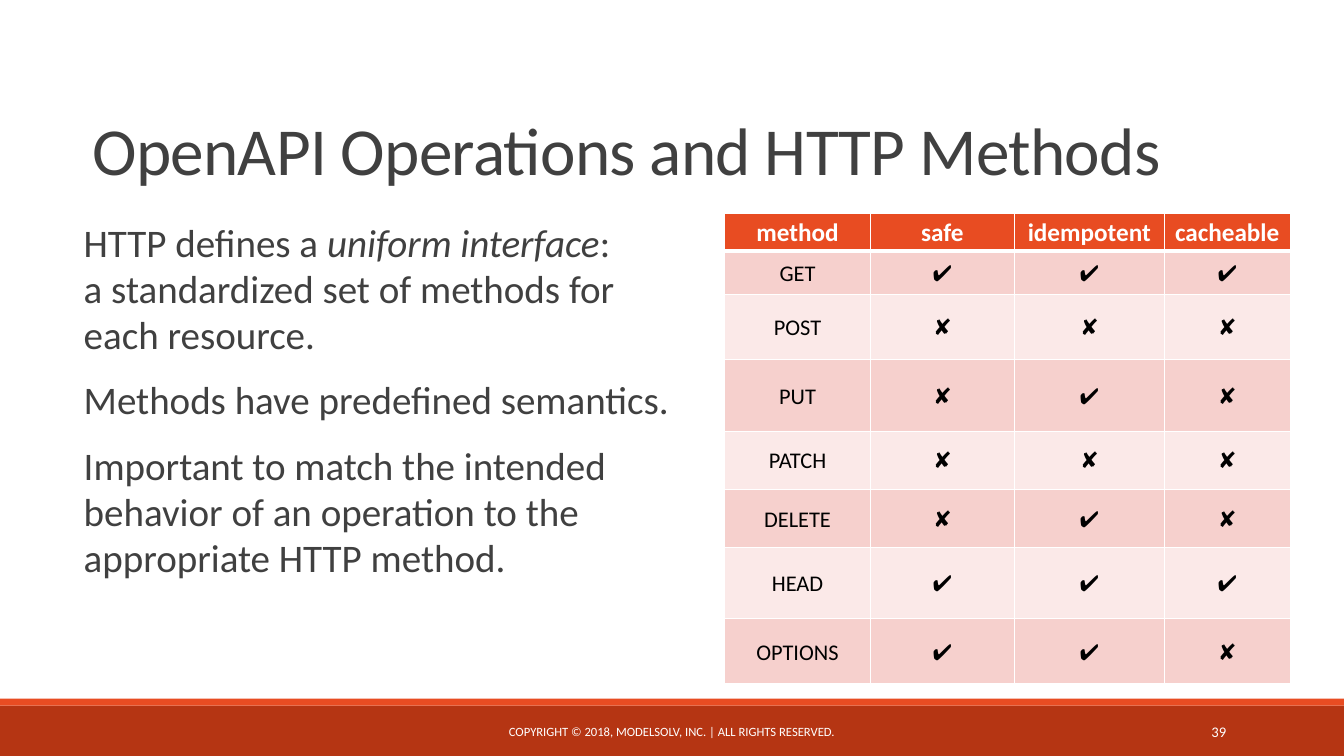
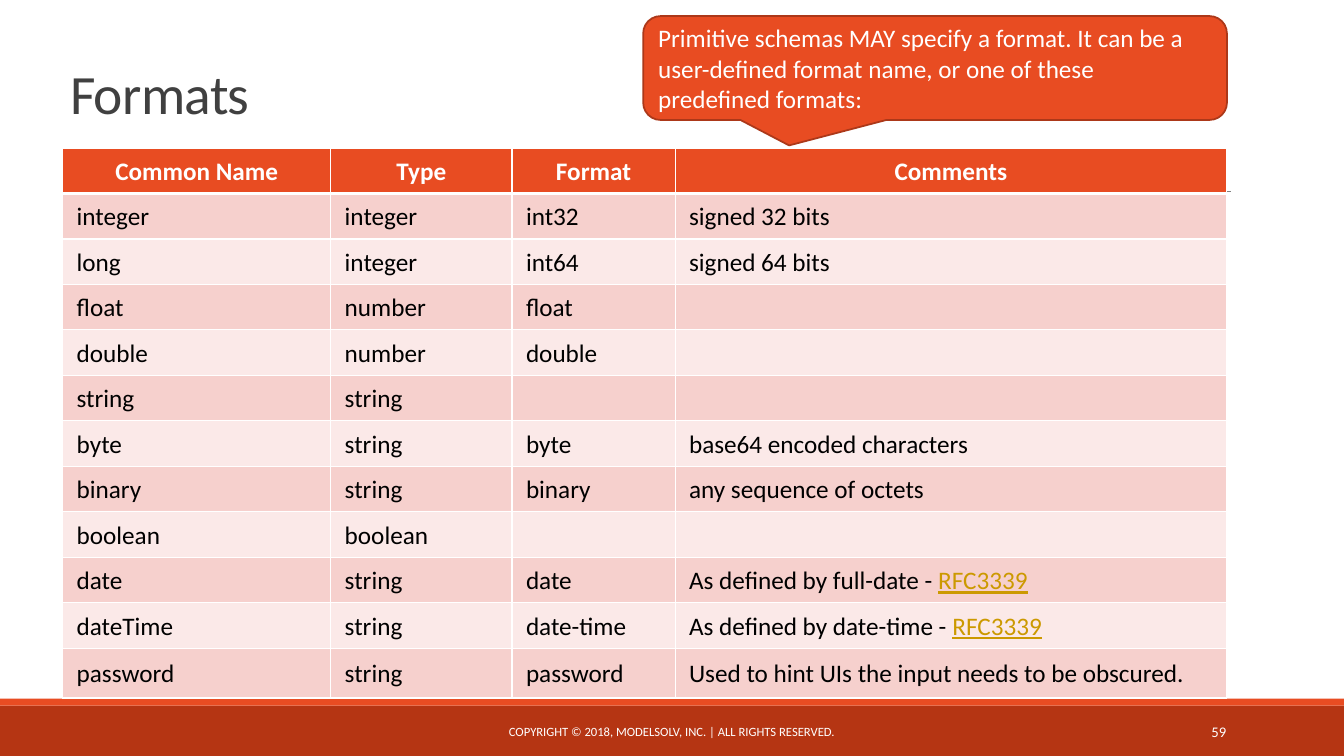
from pptx import Presentation
from pptx.dml.color import RGBColor
from pptx.enum import shapes, text
from pptx.oxml import parse_xml
from pptx.oxml.ns import nsdecls
from pptx.util import Pt

# Shared look
FONT = "Calibri"
WHITE, BLACK, GREY = "FFFFFF", "000000", "404040"
BRICK, FLAME, EDGE, GOLD = "B53513", "E84C22", "AC3819", "CC9900"
BANDS = ("F6D0CD", "FBE9E8")
LEFT, MID, RIGHT = text.PP_ALIGN.LEFT, text.PP_ALIGN.CENTER, text.PP_ALIGN.RIGHT
FOOT = "COPYRIGHT © 2018, MODELSOLV, INC. | ALL RIGHTS RESERVED."

# Content: a paragraph is a string or a list of runs, a run a string or (string, format)
BODY = [
    ["HTTP defines a ", ("uniform interface", {"italic": True}),
     ":\va standardized set of methods for each resource."],
    "Methods have predefined semantics.",
    "Important to match the intended behavior of an operation "
    "to the appropriate HTTP method.",
]
METHODS = [
    ("method", "safe", "idempotent", "cacheable"),
    ("GET", "✔", "✔", "✔"),
    ("POST", "✘", "✘", "✘"),
    ("PUT", "✘", "✔", "✘"),
    ("PATCH", "✘", "✘", "✘"),
    ("DELETE", "✘", "✔", "✘"),
    ("HEAD", "✔", "✔", "✔"),
    ("OPTIONS", "✔", "✔", "✘"),
]
RFC = ("RFC3339", {"color": GOLD, "underline": True})
FORMATS = [
    ("Common Name", "Type", "Format", "Comments"),
    ("integer", "integer", "int32", "signed 32 bits"),
    ("long", "integer", "int64", "signed 64 bits"),
    ("float", "number", "float", ""),
    ("double", "number", "double", ""),
    ("string", "string", "", ""),
    ("byte", "string", "byte", "base64 encoded characters"),
    ("binary", "string", "binary", "any sequence of octets"),
    ("boolean", "boolean", "", ""),
    ("date", "string", "date", ["As defined by full-date - ", RFC]),
    ("dateTime", "string", "date-time", ["As defined by date-time - ", RFC]),
    ("password", "string", "password",
     "Used to hint UIs the input needs to be obscured."),
]
NOTE = ("Primitive schemas MAY specify a format. It can be a user-defined "
        "format name, or one of these predefined formats:")


def rgb(code):
    return RGBColor.from_string(code)


def style(font, size, color, bold=False, italic=False, underline=False):
    font.name, font.size = FONT, Pt(size)
    font.bold, font.italic, font.underline = bold, italic, underline
    font.color.rgb = rgb(color)


def write(frame, paras, size=18, color=BLACK, bold=False, align=LEFT,
          line=1, before=0, after=0, track=0):
    """Fill a text frame with formatted paragraphs."""
    for i, runs in enumerate(paras):
        para = frame.add_paragraph() if i else frame.paragraphs[0]
        para.alignment, para.line_spacing = align, line
        para.space_before, para.space_after = Pt(before if i else 0), Pt(after)
        for run in [runs] if isinstance(runs, str) else runs:
            words, extra = (run, {}) if isinstance(run, str) else run
            for j, piece in enumerate(words.split("\v")):
                if j:
                    para.add_line_break()
                part = para.add_run()
                part.text = piece
                style(part.font, **{"size": size, "color": color, "bold": bold, **extra})
                if track:
                    part.font._element.set("spc", str(track))


def inset(item, left, top, right, bottom):
    item.margin_left, item.margin_top = Pt(left), Pt(top)
    item.margin_right, item.margin_bottom = Pt(right), Pt(bottom)


def box(slide, place, paras, pad=(7.2, 3.6, 7.2, 3.6),
        anchor=text.MSO_ANCHOR.MIDDLE, **form):
    frame = slide.shapes.add_textbox(*map(Pt, place)).text_frame
    frame.word_wrap, frame.vertical_anchor = True, anchor
    inset(frame, *pad)
    write(frame, paras, **form)


def block(slide, kind, place, fill, edge=None):
    shape = slide.shapes.add_shape(kind, *map(Pt, place))
    shape.shadow.inherit = False
    shape.fill.solid()
    shape.fill.fore_color.rgb = rgb(fill)
    if edge:
        shape.line.color.rgb, shape.line.width = rgb(edge), Pt(1.25)
    else:
        shape.line.fill.background()
    return shape


def start(deck, title, place, size, page):
    """Add a slide with its title, bands and footer."""
    slide = deck.slides.add_slide(deck.slide_layouts[5])
    rect = shapes.MSO_SHAPE.RECTANGLE
    block(slide, rect, (0, 504, 960, 36), BRICK)
    block(slide, rect, (0, 499, 960, 5), FLAME)
    head = slide.shapes.title
    head.left, head.top, head.width, head.height = map(Pt, place)
    frame = head.text_frame
    frame.word_wrap, frame.vertical_anchor = True, text.MSO_ANCHOR.BOTTOM
    frame.auto_size = text.MSO_AUTO_SIZE.NONE
    inset(frame, 5.4, 0, 5.4, 1)
    write(frame, [title], size=size, color=GREY, line=0.9, track=-50)
    box(slide, (290, 508.3, 379.5, 28.8), [FOOT], size=9, color=WHITE, align=MID)
    box(slide, (780, 508.3, 103, 28.8), [page], size=10.5, color=WHITE, align=RIGHT)
    return slide


def border(cell, low):
    props = cell._tc.get_or_add_tcPr()
    for i, (side, wide) in enumerate((("L", 1), ("R", 1), ("T", 1), ("B", low))):
        props.insert(i, parse_xml(
            f'<a:ln{side} {nsdecls("a")} w="{Pt(wide)}"><a:solidFill>'
            f'<a:srgbClr val="{WHITE}"/></a:solidFill></a:ln{side}>'))


def grid(slide, spot, cols, rows, data, pad, size, align):
    """Add a table with a dark head row and banded rows."""
    place = (*spot, sum(cols), sum(rows))
    table = slide.shapes.add_table(len(rows), len(cols), *map(Pt, place)).table
    for col, wide in zip(table.columns, cols):
        col.width = Pt(wide)
    for r, (row, high) in enumerate(zip(data, rows)):
        table.rows[r].height = Pt(high)
        top = r == 0
        for c, words in enumerate(row):
            cell = table.cell(r, c)
            cell.vertical_anchor = text.MSO_ANCHOR.MIDDLE
            inset(cell, *pad)
            cell.fill.solid()
            cell.fill.fore_color.rgb = rgb(FLAME if top else BANDS[(r - 1) % 2])
            border(cell, 3 if top else 1)
            write(cell.text_frame, [words], size=18 if top else size,
                  color=WHITE if top else BLACK, bold=top,
                  align=MID if top else align, line=1.07)


def methods(deck):
    slide = start(deck, "OpenAPI Operations and HTTP Methods",
                  (60.5, 22.3, 818, 114.5), 48, "39")
    box(slide, (45.4, 154, 455, 317), BODY, pad=(14.4, 3.6, 7.2, 3.6),
        anchor=text.MSO_ANCHOR.TOP, size=27.9, color=GREY, line=0.98,
        before=12, after=2)
    grid(slide, (517.7, 152.6), (104, 103, 107, 90),
         (26.5, 31.5, 46.5, 51, 41.5, 41.5, 51, 46.5), METHODS,
         pad=(3.6, 1.4, 3.6, 1.4), size=16, align=MID)


def formats(deck):
    slide = start(deck, "Formats", (44.6, 36.7, 882, 54.7), 39.6, "59")
    rule = slide.shapes.add_connector(
        shapes.MSO_CONNECTOR.STRAIGHT, Pt(94), Pt(136.8), Pt(879), Pt(136.8))
    rule.line.color.rgb, rule.line.width = rgb("808080"), Pt(0.5)
    rule._element.spPr.append(parse_xml(f'<a:effectLst {nsdecls("a")}/>'))
    grid(slide, (44.8, 105.7), (191.5, 129.5, 116.5, 394),
         [32.5] * 11 + [35.5], FORMATS,
         pad=(10, 4.3, 10, 4.3), size=18, align=LEFT)
    # Callout
    call = block(slide, shapes.MSO_SHAPE.ROUNDED_RECTANGULAR_CALLOUT,
                 (459.4, 11.5, 417, 74.2), FLAME, EDGE)
    for i, value in enumerate((-0.25, 0.745, 0.167)):
        call.adjustments[i] = value
    call.text_frame.word_wrap = True
    call.text_frame.vertical_anchor = text.MSO_ANCHOR.MIDDLE
    write(call.text_frame, [NOTE], color=WHITE)


def main():
    deck = Presentation()
    deck.slide_width, deck.slide_height = Pt(960), Pt(540)
    methods(deck)
    formats(deck)
    deck.save("out.pptx")


if __name__ == "__main__":
    main()
